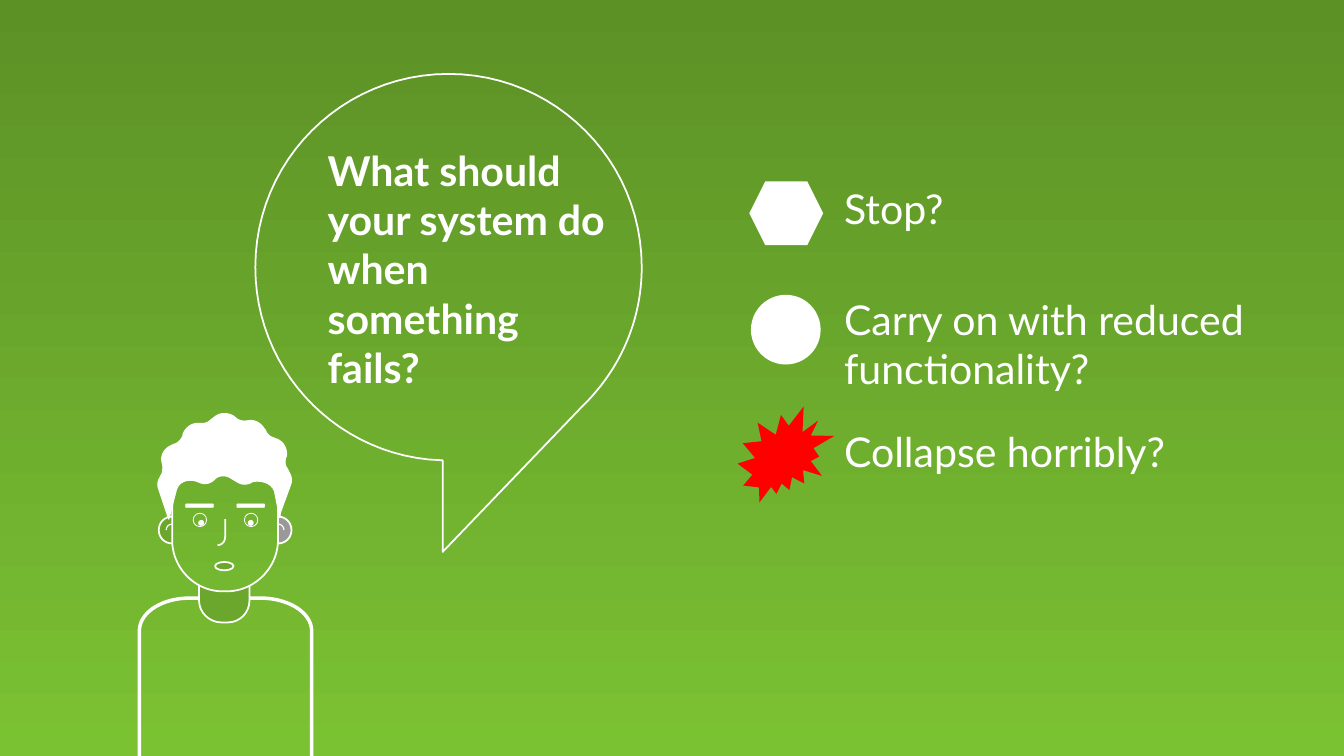
from dataclasses import dataclass

from pptx import Presentation
from pptx.dml.color import RGBColor
from pptx.enum import shapes, text
from pptx.util import Inches, Pt

SHAPE = shapes.MSO_SHAPE


@dataclass(frozen=True)
class Theme:
    top: str = "5C9126"
    bottom: str = "7BC233"
    skin: str = "6AA72C"
    white: str = "FFFFFF"
    grey: str = "999A98"
    red: str = "FF0000"
    font: str = "Lato"
    size: float = 35.2
    width: float = 16
    height: float = 9


THEME = Theme()


def rgb(color):
    return RGBColor.from_string(color)


def backdrop_color(y):
    """Colour of the slide background at height y in inches."""
    pairs = zip(rgb(THEME.top), rgb(THEME.bottom))
    return str(RGBColor(*(round(a + (b - a) * y / THEME.height) for a, b in pairs)))


def fill_gradient(fill, top, bottom):
    fill.gradient()
    fill.gradient_angle = 270
    for stop, color, position in zip(fill.gradient_stops, (top, bottom), (0, 1)):
        stop.color.rgb = rgb(color)
        stop.position = position


def paint(shape, fill=None, line=None):
    """Fill with a colour and draw a white line of the given points, or neither."""
    shape.shadow.inherit = False
    if fill:
        shape.fill.solid()
        shape.fill.fore_color.rgb = rgb(fill)
    else:
        shape.fill.background()
    if line:
        shape.line.color.rgb = rgb(THEME.white)
        shape.line.width = Pt(line)
    else:
        shape.line.fill.background()
    return shape


def add_preset(slide, box, kind, left, top, width, height, **look):
    shape = slide.shapes.add_shape(kind, Inches(box[0] + left), Inches(box[1] + top),
                                   Inches(width), Inches(height))
    return paint(shape, **look)


def add_outline(slide, box, start, steps, closed=True, **look):
    """Trace steps of 2 numbers (line end) or 6 (cubic curve) from start."""
    points = [start]
    for step in steps:
        if len(step) == 2:
            points.append(step)
            continue
        corners = [points[-1], step[:2], step[2:4], step[4:]]
        count = 24 if abs(step[4] - corners[0][0]) > 0.5 else 8
        for i in range(1, count + 1):
            t = i / count
            weights = ((1 - t) ** 3, 3 * t * (1 - t) ** 2, 3 * t * t * (1 - t), t ** 3)
            points.append(tuple(sum(w * c[axis] for w, c in zip(weights, corners))
                                for axis in (0, 1)))
    places = [(Inches(box[0] + x), Inches(box[1] + y)) for x, y in points]
    builder = slide.shapes.build_freeform(*places[0], scale=1.0)
    builder.add_line_segments(places[1:], close=closed)
    return paint(builder.convert_to_shape(), **look)


def write(shape, words, bold=False, color=THEME.white, size=THEME.size):
    frame = shape.text_frame
    frame.word_wrap = True
    frame.auto_size = text.MSO_AUTO_SIZE.NONE
    frame.vertical_anchor = text.MSO_ANCHOR.TOP
    paragraph = frame.paragraphs[0]
    paragraph.alignment = text.PP_ALIGN.LEFT
    paragraph.line_spacing = 1.0
    for i, line in enumerate(words.split("\n")):
        if i:
            paragraph.add_line_break()
        run = paragraph.add_run()
        run.text = line
        run.font.name = THEME.font
        run.font.size = Pt(size)
        run.font.bold = bold
        run.font.color.rgb = rgb(color)


def add_question(slide, box):
    add_outline(slide, box, (2.3, 0), [
        (3.57, 0, 4.6, 1.03, 4.6, 2.3), (4.6, 2.94, 4.34, 3.51, 3.92, 3.93),
        (3.89, 3.96), (2.23, 5.69), (2.23, 4.6), (2.06, 4.59),
        (0.9, 4.47, 0, 3.49, 0, 2.3), (0, 1.03, 1.03, 0, 2.3, 0)], line=1.5)
    title = slide.shapes.title
    title.left, title.top = Inches(box[0] + 0.76), Inches(box[1] + 0.8)
    title.width, title.height = Inches(3.66), Inches(3.06)
    write(title, "What should \nyour system do when something fails?", bold=True)


def add_ear(slide, box, side, fill):
    """Draw the left ear (side 1) or its mirror image (side -1)."""
    middle = 1.04

    def turn(*numbers):
        return tuple(middle + side * n if i % 2 == 0 else n for i, n in enumerate(numbers))

    add_outline(slide, box, turn(-0.47, 1.4), [
        turn(-0.47, 1.31, -0.54, 1.24, -0.63, 1.24),
        turn(-0.72, 1.24, -0.79, 1.31, -0.79, 1.4),
        turn(-0.79, 1.49, -0.72, 1.56, -0.63, 1.56),
        turn(-0.6, 1.56, -0.58, 1.55, -0.56, 1.53)], closed=False, fill=fill, line=1.5)
    return turn


def add_hair(slide, box):
    add_outline(slide, box, (0.37, 1.27), [
        (0.25, 0.91), (0.23, 0.86, 0.24, 0.81, 0.27, 0.77), (0.27, 0.76),
        (0.3, 0.73, 0.3, 0.68, 0.3, 0.64), (0.29, 0.59),
        (0.27, 0.51, 0.32, 0.43, 0.39, 0.4), (0.43, 0.38),
        (0.48, 0.37, 0.52, 0.32, 0.54, 0.28), (0.54, 0.26),
        (0.57, 0.18, 0.64, 0.13, 0.72, 0.13), (0.75, 0.13),
        (0.79, 0.14, 0.84, 0.12, 0.87, 0.09), (0.91, 0.06),
        (0.97, 0, 1.08, 0, 1.15, 0.05), (1.16, 0.06),
        (1.2, 0.1, 1.25, 0.11, 1.31, 0.1), (1.39, 0.08, 1.47, 0.13, 1.51, 0.2),
        (1.52, 0.21), (1.53, 0.25, 1.57, 0.29, 1.61, 0.3), (1.66, 0.32),
        (1.74, 0.35, 1.78, 0.44, 1.77, 0.52), (1.76, 0.54),
        (1.75, 0.59, 1.75, 0.63, 1.78, 0.67), (1.8, 0.71),
        (1.83, 0.76, 1.84, 0.81, 1.82, 0.86), (1.7, 1.19), (1.69, 1.25), (1.63, 0.94),
        (1.59, 0.82, 1.43, 0.8, 1.35, 0.83), (1.34, 0.84),
        (1.29, 0.86, 1.24, 0.86, 1.19, 0.83), (1.09, 0.77),
        (1.03, 0.74, 0.95, 0.75, 0.91, 0.8), (0.86, 0.85, 0.79, 0.86, 0.73, 0.83),
        (0.65, 0.79, 0.5, 0.79, 0.46, 0.92)], fill=THEME.white, line=1)


def add_person(slide, box):
    add_outline(slide, box, (0.02, 4.09), [
        (0.02, 2.6), (0.02, 2.38, 0.29, 2.21, 0.62, 2.21), (1.46, 2.21),
        (1.79, 2.21, 2.07, 2.38, 2.07, 2.6), (2.07, 4.09)], closed=False, line=3)
    turns = [add_ear(slide, box, side, fill)
             for side, fill in ((-1, THEME.grey), (1, THEME.skin))]
    add_outline(slide, box, (1.07, 2.5), [
        (1, 2.5), (0.85, 2.5, 0.73, 2.38, 0.73, 2.24), (0.73, 2.01), (1.33, 2.01),
        (1.33, 2.24), (1.33, 2.38, 1.22, 2.5, 1.07, 2.5)], fill=THEME.skin, line=1.5)
    face = add_outline(slide, box, (1.06, 2.13), [
        (1.01, 2.13), (0.68, 2.13, 0.41, 1.85, 0.41, 1.52), (0.41, 1.07),
        (0.41, 0.88, 0.56, 0.72, 0.75, 0.72), (1.35, 0.72),
        (1.52, 0.72, 1.67, 0.86, 1.67, 1.04), (1.67, 1.52),
        (1.67, 1.85, 1.39, 2.13, 1.06, 2.13)], line=1.5)
    fill_gradient(face.fill, backdrop_color(box[1] + 0.72), backdrop_color(box[1] + 2.13))
    add_outline(slide, box, (0.95, 1.58), [(1, 1.58, 1.04, 1.54, 1.04, 1.48), (1.04, 1.27)],
                closed=False, line=1.5)
    for brow, eye, pupil in ((0.57, 0.66, 0.72), (1.18, 1.27, 1.31)):
        add_preset(slide, box, SHAPE.ROUNDED_RECTANGLE, brow, 1.09, 0.33, 0.04,
                   fill=THEME.white, line=0.5)
        add_preset(slide, box, SHAPE.OVAL, eye, 1.2, 0.16, 0.16, line=0.75)
        add_preset(slide, box, SHAPE.OVAL, pupil, 1.28, 0.07, 0.07, fill=THEME.white)
    add_hair(slide, box)
    for turn in turns:
        add_outline(slide, box, turn(-0.63, 1.33), [turn(-0.67, 1.33, -0.7, 1.36, -0.7, 1.4)],
                    closed=False, line=1)
    add_preset(slide, box, SHAPE.OVAL, 0.92, 1.78, 0.22, 0.1, fill=THEME.skin, line=1.5)


def add_answers(slide, box):
    answers = [
        ("Stop?", 0, 0.69, SHAPE.HEXAGON, (0.14, 0.02, 0.88, 0.76), THEME.white),
        ("Carry on with reduced functionality?", 1.31, 1.29, SHAPE.OVAL,
         (0.16, 1.37, 0.83, 0.83), THEME.white),
        ("Collapse horribly?", 2.89, 0.69, SHAPE.EXPLOSION2,
         (0, 2.7, 1.15, 1.14), THEME.red)]
    for words, top, height, kind, icon, color in answers:
        add_preset(slide, box, kind, *icon, fill=color)
        label = slide.shapes.add_textbox(Inches(box[0] + 1.17), Inches(box[1] + top),
                                         Inches(5.21), Inches(height))
        write(label, words)


def main():
    presentation = Presentation()
    presentation.slide_width = Inches(THEME.width)
    presentation.slide_height = Inches(THEME.height)
    slide = presentation.slides.add_slide(presentation.slide_layouts.get_by_name("Title Only"))
    fill_gradient(slide.background.fill, THEME.top, THEME.bottom)
    add_person(slide, (1.64, 4.91))
    add_question(slide, (3.04, 0.88))
    add_answers(slide, (8.78, 2.14))
    presentation.save("out.pptx")


if __name__ == "__main__":
    main()
